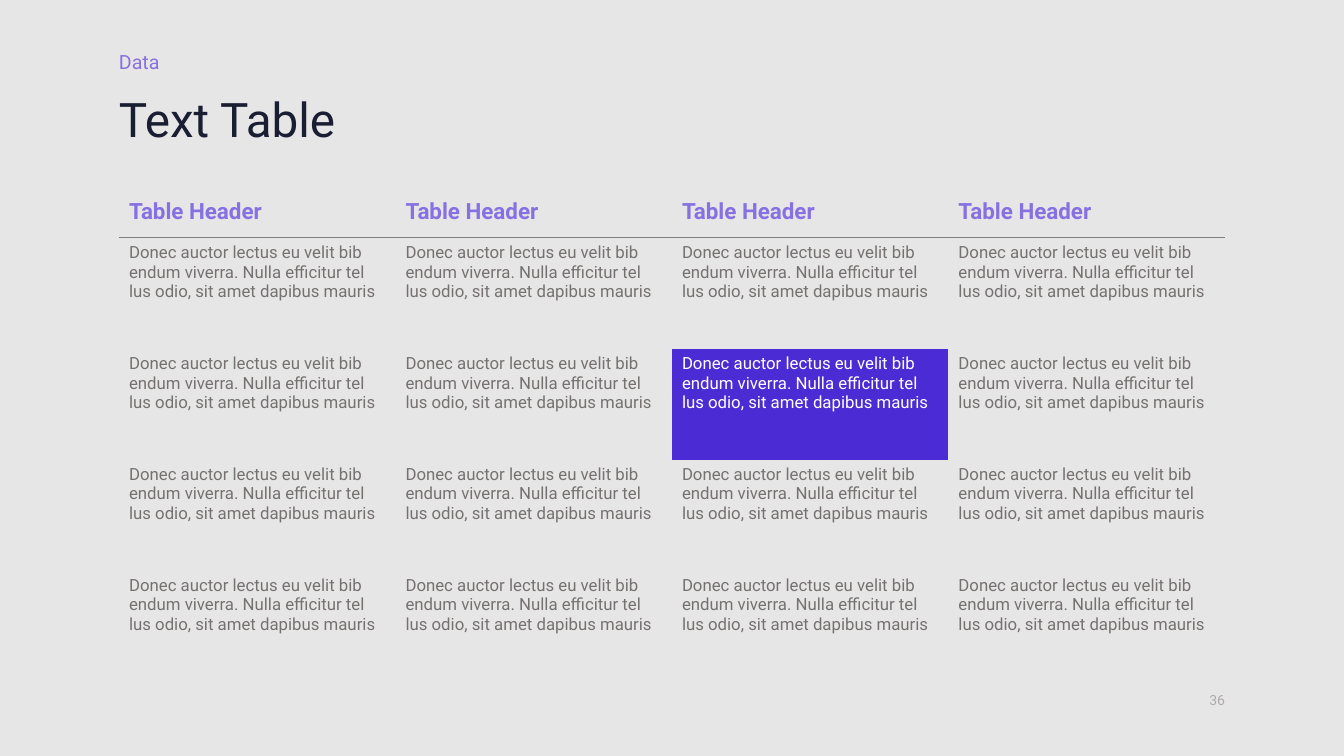
"""Build the text table slide with its heading and page number."""
from dataclasses import dataclass, field
from typing import Any

from lxml.etree import SubElement
from pptx import Presentation
from pptx.dml.color import RGBColor
from pptx.enum.text import MSO_ANCHOR, PP_ALIGN
from pptx.oxml.ns import qn
from pptx.slide import Slide
from pptx.table import _Cell
from pptx.text.text import _Paragraph
from pptx.util import Inches, Pt


@dataclass(frozen=True)
class Theme:
    """Colours, type sizes and font of the slide."""
    font: str = "Roboto"
    background: str = "E7E6E6"
    accent: str = "8670E2"
    highlight: str = "4B2BD3"
    highlight_text: str = "FFFFFF"
    heading: str = "191E32"
    body: str = "767171"
    rule: str = "7F7F7F"
    muted: str = "AFABAB"
    heading_size: int = 34
    header_size: int = 16
    label_size: int = 14
    body_size: int = 12
    number_size: int = 10
    rule_width: float = 0.75


@dataclass(frozen=True)
class Label:
    """A line of text with its place and format."""
    text: str
    place: tuple[float, float, float, float]
    size: int
    color: str
    anchor: MSO_ANCHOR = MSO_ANCHOR.TOP
    wraps: bool = True
    layout: dict[str, Any] = field(default_factory=dict)


THEME = Theme()
LABELS = (
    Label("36", (11.57, 6.76, 0.58, 0.27), THEME.number_size, THEME.muted, MSO_ANCHOR.BOTTOM,
          layout={"alignment": PP_ALIGN.RIGHT, "space_after": Pt(4)}),
    Label("Data", (1.18, 0.49, 5.26, 0.24), THEME.label_size, THEME.accent, MSO_ANCHOR.BOTTOM,
          wraps=False, layout={"line_spacing": 1.1, "space_after": Pt(9)}),
    Label("Text Table", (1.18, 0.96, 9.76, 0.76), THEME.heading_size, THEME.heading,
          layout={"line_spacing": 0.9}),
)
COLUMNS = 4
HEADER = "Table Header"
BODY = "Donec auctor lectus eu velit bib endum viverra. Nulla efficitur tel\nlus odio, sit amet dapibus mauris"
ROW_HEIGHTS = (0.51, 1.1, 1.1, 1.1, 1.1)
HIGHLIGHTED = (2, 2)
RULED_ROWS = {"lnB": 0, "lnT": 1}
PLAIN_STYLE = "{2D5ABB26-0587-4C30-8999-92F81FD0307C}"


def apply_format(target: Any, values: dict[str, Any]) -> None:
    """Set each format value on the target."""
    for name, value in values.items():
        setattr(target, name, value)


def write(paragraph: _Paragraph, text: str, size: int, color: str,
          layout: dict[str, Any], bold: bool = False) -> None:
    """Write formatted text into a paragraph."""
    paragraph.text = text
    apply_format(paragraph, layout)
    for run in paragraph.runs:
        apply_format(run.font, {"name": THEME.font, "size": Pt(size), "bold": bold})
        run.font.color.rgb = RGBColor.from_string(color)


def draw_label(slide: Slide, label: Label) -> None:
    """Draw a label in a text box without margins."""
    frame = slide.shapes.add_textbox(*map(Inches, label.place)).text_frame
    apply_format(frame, {"margin_left": 0, "margin_right": 0, "margin_top": 0, "margin_bottom": 0,
                         "word_wrap": label.wraps, "vertical_anchor": label.anchor})
    write(frame.paragraphs[0], label.text, label.size, label.color, label.layout)


def set_edge(cell: _Cell, edge: str, is_ruled: bool) -> None:
    """Draw the header rule on one edge of a cell, or clear that edge."""
    properties = cell._tc.get_or_add_tcPr()
    line = SubElement(properties, qn(f"a:{edge}"))
    if is_ruled:
        line.set("w", str(Pt(THEME.rule_width)))
        SubElement(SubElement(line, qn("a:solidFill")), qn("a:srgbClr"), val=THEME.rule)
    else:
        SubElement(line, qn("a:noFill"))
    properties.insert(0, line)


def fill_cell(cell: _Cell, row: int, column: int) -> None:
    """Write and colour one cell of the table."""
    is_highlighted = (row, column) == HIGHLIGHTED
    paragraph = cell.text_frame.paragraphs[0]
    if row == 0:
        cell.vertical_anchor = MSO_ANCHOR.MIDDLE
        write(paragraph, HEADER, THEME.header_size, THEME.accent, {}, bold=True)
    else:
        color = THEME.highlight_text if is_highlighted else THEME.body
        write(paragraph, BODY, THEME.body_size, color, {"space_after": Pt(6)})
    if is_highlighted:
        cell.fill.solid()
        cell.fill.fore_color.rgb = RGBColor.from_string(THEME.highlight)
    else:
        cell.fill.background()
    for edge, ruled_row in RULED_ROWS.items():
        set_edge(cell, edge, row == ruled_row)


def draw_table(slide: Slide) -> None:
    """Draw the table of headers and body texts."""
    width = Inches(10.97)
    table = slide.shapes.add_table(len(ROW_HEIGHTS), COLUMNS, Inches(1.18), Inches(1.85),
                                   width, Inches(sum(ROW_HEIGHTS))).table
    apply_format(table, {"first_row": False, "horz_banding": False})
    table._tbl.tblPr.find(qn("a:tableStyleId")).text = PLAIN_STYLE
    for table_column in table.columns:
        table_column.width = width // COLUMNS
    for row, height in enumerate(ROW_HEIGHTS):
        table.rows[row].height = Inches(height)
        for column in range(COLUMNS):
            fill_cell(table.cell(row, column), row, column)


def main() -> None:
    """Build and save the presentation."""
    presentation = Presentation()
    apply_format(presentation, {"slide_width": Inches(13.33), "slide_height": Inches(7.5)})
    slide = presentation.slides.add_slide(presentation.slide_layouts[6])
    slide.background.fill.solid()
    slide.background.fill.fore_color.rgb = RGBColor.from_string(THEME.background)
    for label in LABELS:
        draw_label(slide, label)
    draw_table(slide)
    presentation.save("out.pptx")


if __name__ == "__main__":
    main()
